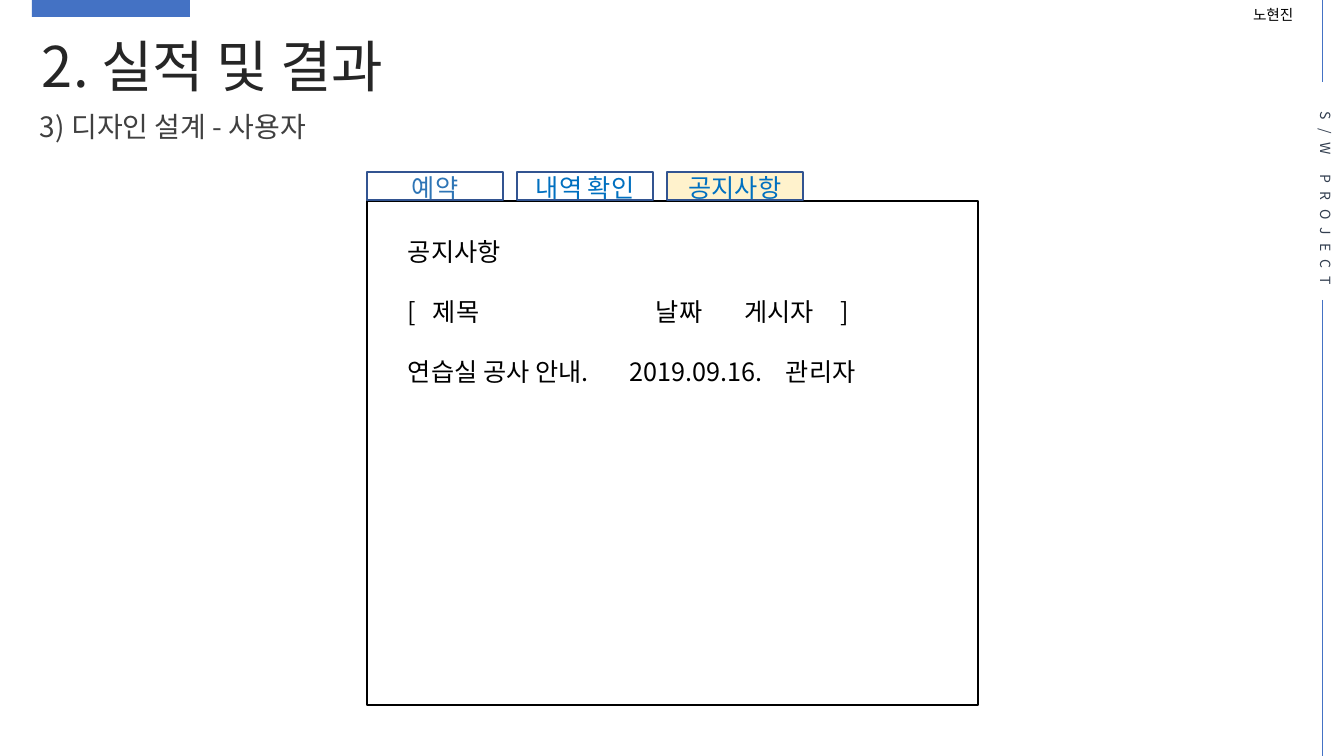
from lxml import etree
from pptx import Presentation
from pptx import util as u
from pptx.dml.color import RGBColor
from pptx.enum import shapes, text
from pptx.oxml import ns

FONT = "Noto Sans CJK KR"
BLUE, TAB_EDGE, BLACK, WHITE = "4472C4", "325491", "000000", "FFFFFF"
LINE_HEIGHT = 1.28  # in ems


def px(length):
    return u.Emu(round(length * 914400 / 100.8))


def color(hex_code):
    return RGBColor.from_string(hex_code)


def add_child(parent, tag, **attributes):
    return etree.SubElement(parent, ns.qn(tag), attributes)


class SlideBuilder:
    def __init__(self, slide):
        self.slide = slide

    def fill_text(self, frame, lines, size, hex_code, *, align=text.PP_ALIGN.LEFT,
                  anchor=text.MSO_ANCHOR.TOP, insets=(10, 5), gap=0, spacing=0):
        """Fill a frame; each line is (wording, tab stops in px)."""
        across, down = insets
        frame_format = {
            "word_wrap": True, "vertical_anchor": anchor,
            "margin_left": px(across), "margin_right": px(across),
            "margin_top": px(down), "margin_bottom": px(down),
        }
        for name, value in frame_format.items():
            setattr(frame, name, value)
        for i, (wording, stops) in enumerate(lines):
            paragraph = frame.add_paragraph() if i else frame.paragraphs[0]
            if stops:
                tab_list = add_child(paragraph._p.get_or_add_pPr(), "a:tabLst")
                for stop in stops:
                    add_child(tab_list, "a:tab", pos=str(px(stop)), algn="l")
            paragraph.alignment = align
            paragraph.line_spacing = u.Pt(round(size * LINE_HEIGHT, 1))
            if i:
                paragraph.space_before = u.Pt(gap)
            run = paragraph.add_run()
            run.text = wording
            for name, value in {"name": FONT, "size": u.Pt(size)}.items():
                setattr(run.font, name, value)
            run.font.color.rgb = color(hex_code)
            properties = run._r.get_or_add_rPr()
            add_child(properties, "a:ea", typeface=FONT)
            if spacing:
                properties.set("spc", str(spacing * 100))

    def label(self, box, lines, size, hex_code, vertical=False, **style):
        frame = self.slide.shapes.add_textbox(*map(px, box)).text_frame
        self.fill_text(frame, lines, size, hex_code, **style)
        if vertical:
            frame._txBody.bodyPr.set("vert", "eaVert")

    def rectangle(self, box, fill, edge=None):
        shape = self.slide.shapes.add_shape(
            shapes.MSO_SHAPE.RECTANGLE, *map(px, box))
        shape.shadow.inherit = False
        shape.fill.solid()
        shape.fill.fore_color.rgb = color(fill)
        if edge:
            shape.line.color.rgb = color(edge)
            shape.line.width = u.Pt(1)
        else:
            shape.line.fill.background()
        return shape

    def rule(self, x, top, bottom):
        line = self.slide.shapes.add_connector(
            shapes.MSO_CONNECTOR.STRAIGHT, px(x), px(top), px(x), px(bottom))
        line.line.color.rgb = color(BLUE)
        line.line.width = u.Pt(0.5)
        add_child(line._element.spPr, "a:effectLst")


def main():
    deck = Presentation()
    deck.slide_width, deck.slide_height = px(1344), px(756)
    page = SlideBuilder(deck.slides.add_slide(deck.slide_layouts[6]))

    # Heading
    page.rectangle((32, 0, 158, 17), BLUE)
    page.label((32, 22, 406, 78), [("2. 실적 및 결과", ())], 40, "262626")
    page.label((30, 102, 322, 44), [("3) 디자인 설계 - 사용자", ())], 20, "404040")

    # Right margin
    for top, bottom in ((0, 82), (300, 756)):
        page.rule(1322, top, bottom)
    page.label((1299, 112, 37, 190), [("S/W PROJECT", ())], 10, "333F50",
               vertical=True, insets=(0, 0), spacing=6)
    page.label((1243, 0, 69, 28), [("노현진", ())], 10.5, BLACK)

    # Window with its tabs
    page.rectangle((367, 201, 611, 504), WHITE, BLACK)
    menu = [("예약", WHITE, "2E75B6"), ("내역 확인", WHITE, "0070C0"),
            ("공지사항", "FFF2CC", "0070C0")]
    for i, (caption, fill, ink) in enumerate(menu):
        tab = page.rectangle((367 + 150 * i, 172, 136, 28), fill, TAB_EDGE)
        page.fill_text(tab.text_frame, [(caption, ())], 18, ink, insets=(0, 0),
                       align=text.PP_ALIGN.CENTER, anchor=text.MSO_ANCHOR.MIDDLE)

    # Notice list
    notices = [
        ("공지사항", ()),
        ("[\t제목\t날짜\t게시자\t]", (25, 248, 336, 432)),
        ("연습실 공사 안내.\t2019.09.16.\t관리자", (222, 378)),
    ]
    page.label((398, 229, 538, 194), notices, 18, BLACK, gap=20)

    deck.save("out.pptx")


if __name__ == "__main__":
    main()
